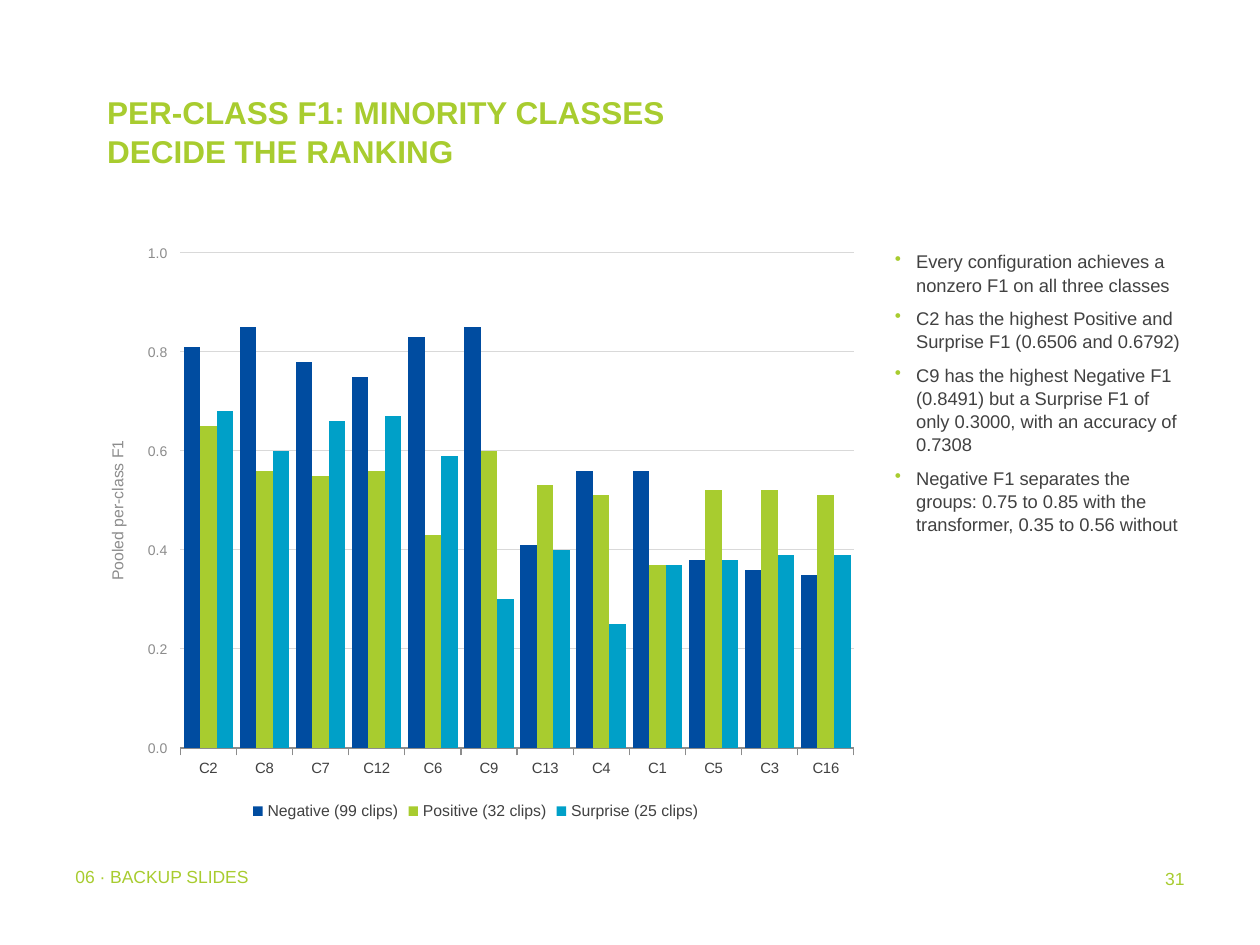
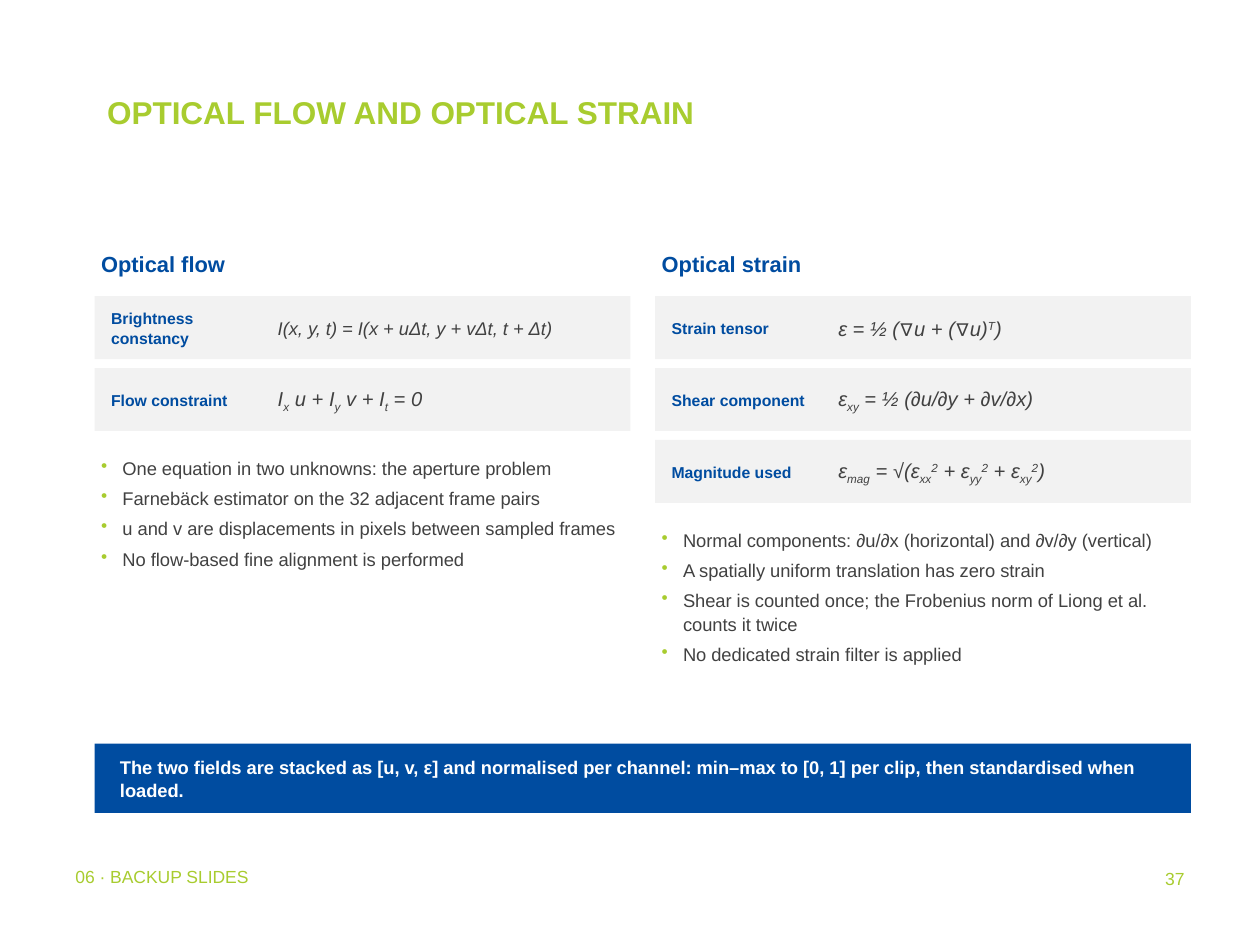
from lxml import etree
from pptx import Presentation
from pptx import util as u
from pptx.chart.data import CategoryChartData
from pptx.dml.color import RGBColor
from pptx.enum import chart as ch
from pptx.enum import shapes, text
from pptx.oxml.ns import qn

FONT = "Arial"
COLORS = {"lime": "A8CC2F", "navy": "004CA0", "cyan": "00A0C8", "ink": "414141",
          "axis": "8C8C8C", "grid": "D9D9D9", "card": "F2F2F2", "white": "FFFFFF"}
LEFT, RIGHT_COLUMN, COLUMN_WIDTH, FULL_WIDTH = 1.91, 13.21, 10.8, 22.1
BODY_TOP = 4.95
CARD_TOP, CARD_HEIGHT, CARD_PITCH = 5.97, 1.27, 1.45
TIGHT = (0.13, 0.08)
BASELINES = {"_": "-25000", "^": "30000"}

F1_CONFIGS = ["C2", "C8", "C7", "C12", "C6", "C9", "C13", "C4", "C1", "C5", "C3", "C16"]
F1_SCORES = [
    ("Negative (99 clips)", "navy",
     [0.81, 0.85, 0.78, 0.75, 0.83, 0.85, 0.41, 0.56, 0.56, 0.38, 0.36, 0.35]),
    ("Positive (32 clips)", "lime",
     [0.65, 0.56, 0.55, 0.56, 0.43, 0.6, 0.53, 0.51, 0.37, 0.52, 0.52, 0.51]),
    ("Surprise (25 clips)", "cyan",
     [0.68, 0.6, 0.66, 0.67, 0.59, 0.3, 0.4, 0.25, 0.37, 0.38, 0.39, 0.39]),
]
F1_FINDINGS = [
    "Every configuration achieves a nonzero F1 on all three classes",
    "C2 has the highest Positive and Surprise F1 (0.6506 and 0.6792)",
    "C9 has the highest Negative F1 (0.8491) but a Surprise F1 of only 0.3000, "
    "with an accuracy of 0.7308",
    "Negative F1 separates the groups: 0.75 to 0.85 with the transformer, "
    "0.35 to 0.56 without",
]
FLOW_EQUATIONS = [
    ("Brightness constancy", "I(x, y, t) = I(x + uΔt, y + vΔt, t + Δt)", 10.5),
    ("Flow constraint", "I|_x| u + I|_y| v + I|_t| = 0", 11.5),
]
FLOW_NOTES = [
    "One equation in two unknowns: the aperture problem",
    "Farnebäck estimator on the 32 adjacent frame pairs",
    "u and v are displacements in pixels between sampled frames",
    "No flow-based fine alignment is performed",
]
STRAIN_EQUATIONS = [
    ("Strain tensor", "ε = ½ (∇u + (∇u)|^T|)", 11.5),
    ("Shear component", "ε|_xy| = ½ (∂u/∂y + ∂v/∂x)", 11.5),
    ("Magnitude used", "ε|_mag| = √(ε|_xx|^2| + ε|_yy|^2| + ε|_xy|^2|)", 11.5),
]
STRAIN_NOTES = [
    "Normal components: ∂u/∂x (horizontal) and ∂v/∂y (vertical)",
    "A spatially uniform translation has zero strain",
    "Shear is counted once; the Frobenius norm of Liong et al. counts it twice",
    "No dedicated strain filter is applied",
]


def rgb(color):
    """Return the named palette colour."""
    return RGBColor.from_string(COLORS[color])


def style_font(font, size, color, bold=False, italic=False):
    """Apply the deck font with a size and colour."""
    font.name, font.size, font.color.rgb = FONT, u.Pt(size), rgb(color)
    font.bold, font.italic = bold, italic


def set_frame(frame, insets=TIGHT, middle=False):
    """Set wrapping, insets and anchor of a text frame."""
    frame.word_wrap = True
    frame.margin_left = frame.margin_right = u.Cm(insets[0])
    frame.margin_top = frame.margin_bottom = u.Cm(insets[1])
    frame.vertical_anchor = text.MSO_ANCHOR.MIDDLE if middle else text.MSO_ANCHOR.TOP


def write(frame, lines, size, color, bold=False, after=0, align=text.PP_ALIGN.LEFT):
    """Fill a frame with one styled paragraph per line."""
    frame.text = "\n".join(lines)
    for paragraph in frame.paragraphs:
        paragraph.alignment = align
        paragraph.line_spacing = 1.05
        paragraph.space_after = u.Pt(after)
        for run in paragraph.runs:
            style_font(run.font, size, color, bold)


def add_text(slide, box, lines, size, color, insets=TIGHT, middle=False, **style):
    """Add a text box and return its frame."""
    frame = slide.shapes.add_textbox(*map(u.Cm, box)).text_frame
    set_frame(frame, insets, middle)
    write(frame, lines, size, color, **style)
    return frame


def add_bullets(slide, box, lines, after):
    """Add a list with lime bullets and a hanging indent."""
    frame = add_text(slide, box, lines, 10.5, "ink", after=after)
    for paragraph in frame.paragraphs:
        props = paragraph._p.get_or_add_pPr()
        indent = u.Cm(0.43)
        props.set("marL", str(indent))
        props.set("indent", str(-indent))
        bullet_color = etree.SubElement(props, qn("a:buClr"))
        etree.SubElement(bullet_color, qn("a:srgbClr"), val=COLORS["lime"])
        etree.SubElement(props, qn("a:buChar"), char="•")


def add_panel(slide, box, color):
    """Add a flat filled rectangle."""
    panel = slide.shapes.add_shape(shapes.MSO_SHAPE.RECTANGLE, *map(u.Cm, box))
    panel.shadow.inherit = False
    panel.fill.solid()
    panel.fill.fore_color.rgb = rgb(color)
    panel.line.fill.background()
    return panel


def add_formula(slide, box, formula, size):
    """Add an italic formula whose _ and ^ pieces are sub- and superscripts."""
    frame = add_text(slide, box, [""], size, "ink", middle=True)
    for piece in formula.split("|"):
        run = frame.paragraphs[0].add_run()
        shift = BASELINES.get(piece[0])
        run.text = piece[1:] if shift else piece
        style_font(run.font, size, "ink", italic=True)
        if shift:
            run._r.get_or_add_rPr().set("baseline", shift)


def add_equation_column(slide, left, heading, equations, notes):
    """Add a heading, its equation cards and the notes below them."""
    add_text(slide, (left, BODY_TOP, COLUMN_WIDTH, 0.81), [heading], 12.5, "navy",
             bold=True, after=3)
    for row, (label, formula, size) in enumerate(equations):
        top = CARD_TOP + row * CARD_PITCH
        add_panel(slide, (left, top, COLUMN_WIDTH, CARD_HEIGHT), "card")
        add_text(slide, (left + 0.2, top, 3.3, CARD_HEIGHT), [label], 9, "navy",
                 middle=True, bold=True)
        add_formula(slide, (left + 3.56, top, 7.04, CARD_HEIGHT), formula, size)
    notes_top = CARD_TOP + len(equations) * CARD_PITCH + 0.25
    add_bullets(slide, (left, notes_top, COLUMN_WIDTH, 14.8 - notes_top), notes, 4)


def add_callout(slide, message):
    """Add the navy band with the closing message."""
    band = add_panel(slide, (LEFT, 14.99, FULL_WIDTH, 1.4), "navy")
    set_frame(band.text_frame, (0.51, 0.08), middle=True)
    write(band.text_frame, [message], 10.5, "white", bold=True, after=3)


def add_f1_chart(slide, box):
    """Add the clustered columns of F1 per class and configuration."""
    scores = CategoryChartData(number_format="0.00")
    scores.categories = F1_CONFIGS
    for name, _, values in F1_SCORES:
        scores.add_series(name, values)
    chart = slide.shapes.add_chart(ch.XL_CHART_TYPE.COLUMN_CLUSTERED,
                                   *map(u.Cm, box), scores).chart
    chart.has_title = False
    style_font(chart.font, 8.5, "ink")
    chart.has_legend = True
    chart.legend.position = ch.XL_LEGEND_POSITION.BOTTOM
    chart.legend.include_in_layout = False
    style_font(chart.legend.font, 9, "ink")

    plot = chart.plots[0]
    plot.gap_width, plot.overlap, plot.vary_by_categories = 40, 0, False
    for series, (_, color, _) in zip(plot.series, F1_SCORES):
        series.format.fill.solid()
        series.format.fill.fore_color.rgb = rgb(color)
        series.invert_if_negative = False

    configs = chart.category_axis
    configs.tick_label_position = ch.XL_TICK_LABEL_POSITION.LOW
    style_font(configs.tick_labels.font, 8.5, "ink")
    configs.format.line.color.rgb = rgb("axis")
    configs.format.line.width = u.Pt(0.75)

    f1 = chart.value_axis
    f1.minimum_scale, f1.maximum_scale, f1.major_unit = 0, 1, 0.2
    f1.tick_labels.number_format = "0.0"
    f1.tick_labels.number_format_is_linked = False
    style_font(f1.tick_labels.font, 8, "axis")
    f1.format.line.fill.background()
    f1.major_gridlines.format.line.color.rgb = rgb("grid")
    f1.major_gridlines.format.line.width = u.Pt(0.5)
    f1.axis_title.text_frame.text = "Pooled per-class F1"
    style_font(f1.axis_title.text_frame.paragraphs[0].runs[0].font, 9, "axis")


def add_slide(deck, title, number):
    """Add a blank slide with title, section footer and page number."""
    slide = deck.slides.add_slide(deck.slide_layouts[6])
    add_text(slide, (LEFT, 1.7, 13.77, 3.18), [title], 18, "lime", (0.25, 0.13), bold=True)
    add_text(slide, (1.27, 17.35, 14.4, 1.02), ["06 · BACKUP SLIDES"], 10, "lime",
             (0.25, 0.08))
    add_text(slide, (18.85, 17.35, 5.28, 1.27), [str(number)], 10, "lime", (0.25, 0.13),
             align=text.PP_ALIGN.RIGHT)
    return slide


def main():
    """Build the two backup slides."""
    deck = Presentation()
    deck.slide_width, deck.slide_height = u.Cm(25.4), u.Cm(19.05)

    ranking = add_slide(deck, "PER-CLASS F1: MINORITY CLASSES DECIDE THE RANKING", 31)
    add_f1_chart(ranking, (1.65, 4.7, 15.88, 11.94))
    add_bullets(ranking, (17.91, BODY_TOP, 6.1, 11.43), F1_FINDINGS, 6)

    fields = add_slide(deck, "OPTICAL FLOW AND OPTICAL STRAIN", 37)
    add_equation_column(fields, LEFT, "Optical flow", FLOW_EQUATIONS, FLOW_NOTES)
    add_equation_column(fields, RIGHT_COLUMN, "Optical strain", STRAIN_EQUATIONS,
                        STRAIN_NOTES)
    add_callout(fields, "The two fields are stacked as [u, v, ε] and normalised per channel: "
                        "min–max to [0, 1] per clip, then standardised when loaded.")
    deck.save("out.pptx")


if __name__ == "__main__":
    main()
